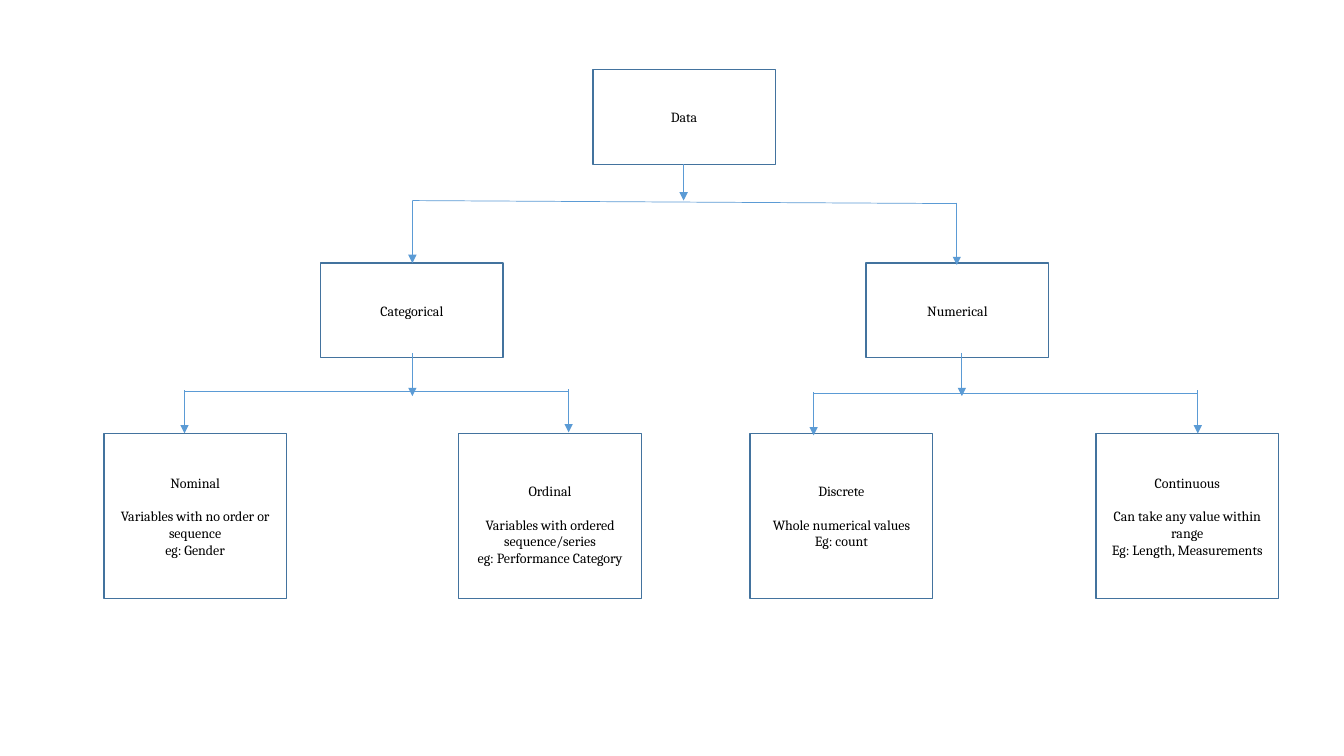
from pptx import Presentation
from pptx import util as u
from pptx.dml.color import RGBColor
from pptx.enum import shapes, text
from pptx.oxml.ns import qn
from lxml import etree

BOX_BLUE = RGBColor(0x43, 0x73, 0x9E)
ARROW_BLUE = RGBColor(0x5B, 0x9B, 0xD5)
BLACK = RGBColor(0, 0, 0)

BOX_WIDTH = 1.81
PARENT_HEIGHT, LEAF_HEIGHT = 0.94, 1.64
LEAF_TOP = 4.3
LINE_PITCH = u.Pt(12)


class TreeSlide:
    font_format = {"name": "Cambria", "size": u.Pt(10)}
    frame_format = {"word_wrap": True, "vertical_anchor": text.MSO_ANCHOR.MIDDLE}

    def __init__(self, presentation):
        self.slide = presentation.slides.add_slide(presentation.slide_layouts[6])

    @staticmethod
    def apply(target, values):
        for name, value in values.items():
            setattr(target, name, value)

    def box(self, left, top, height, title, details=(), lowered=0):
        """Outlined box; lowered is extra space above its text."""
        shape = self.slide.shapes.add_shape(
            shapes.MSO_SHAPE.RECTANGLE,
            *map(u.Inches, (left, top, BOX_WIDTH, height)))
        shape.shadow.inherit = False
        shape.fill.background()
        shape.line.color.rgb = BOX_BLUE
        shape.line.width = u.Pt(1)
        frame = shape.text_frame
        self.apply(frame, self.frame_format)
        frame.margin_top += lowered
        for index, line in enumerate((title, *details)):
            paragraph = frame.add_paragraph() if index else frame.paragraphs[0]
            paragraph.alignment = text.PP_ALIGN.CENTER
            run = paragraph.add_run()
            run.text = line
            self.apply(run.font, self.font_format)
            run.font.color.rgb = BLACK
        if details:
            frame.paragraphs[0].space_after = LINE_PITCH

    def line(self, x1, y1, x2, y2, arrow=False):
        connector = self.slide.shapes.add_connector(
            shapes.MSO_CONNECTOR.STRAIGHT, *map(u.Inches, (x1, y1, x2, y2)))
        connector.line.color.rgb = ARROW_BLUE
        connector.line.width = u.Pt(0.5)
        if arrow:
            etree.SubElement(connector.line._get_or_add_ln(),
                             qn("a:tailEnd"), type="triangle")
        etree.SubElement(connector._element.spPr, qn("a:effectLst"))

    def down_arrow(self, x, top, length):
        self.line(x, top, x, top + length, arrow=True)


def main():
    presentation = Presentation()
    presentation.slide_width = u.Inches(13.33)
    presentation.slide_height = u.Inches(7.5)
    tree = TreeSlide(presentation)

    for left, top, title in ((5.88, 0.69, "Data"),
                             (3.18, 2.61, "Categorical"),
                             (8.59, 2.61, "Numerical")):
        tree.box(left, top, PARENT_HEIGHT, title)

    leaves = (
        (1.03, "Nominal",
         ("Variables with no order or sequence", "eg: Gender"), 0),
        (4.55, "Ordinal",
         ("Variables with ordered sequence/series",
          "eg: Performance Category"), LINE_PITCH),
        (7.44, "Discrete", ("Whole numerical values", "Eg: count"), 0),
        (10.87, "Continuous",
         ("Can take any value within range", "Eg: Length, Measurements"), 0),
    )
    for left, title, details, lowered in leaves:
        tree.box(left, LEAF_TOP, LEAF_HEIGHT, title, details, lowered)

    for branch in ((4.09, 1.99, 9.49, 2.02),
                   (1.83, 3.88, 5.64, 3.88),
                   (8.07, 3.9, 11.88, 3.9)):
        tree.line(*branch)

    arrows_by_length = {
        0.36: ((6.78, 1.63),),
        0.62: ((4.09, 1.99), (9.49, 2.01)),
        0.43: ((4.09, 3.5), (9.54, 3.5), (1.83, 3.87),
               (5.64, 3.86), (8.07, 3.89), (11.88, 3.87)),
    }
    for length, starts in arrows_by_length.items():
        for x, top in starts:
            tree.down_arrow(x, top, length)

    presentation.save("out.pptx")


if __name__ == "__main__":
    main()
